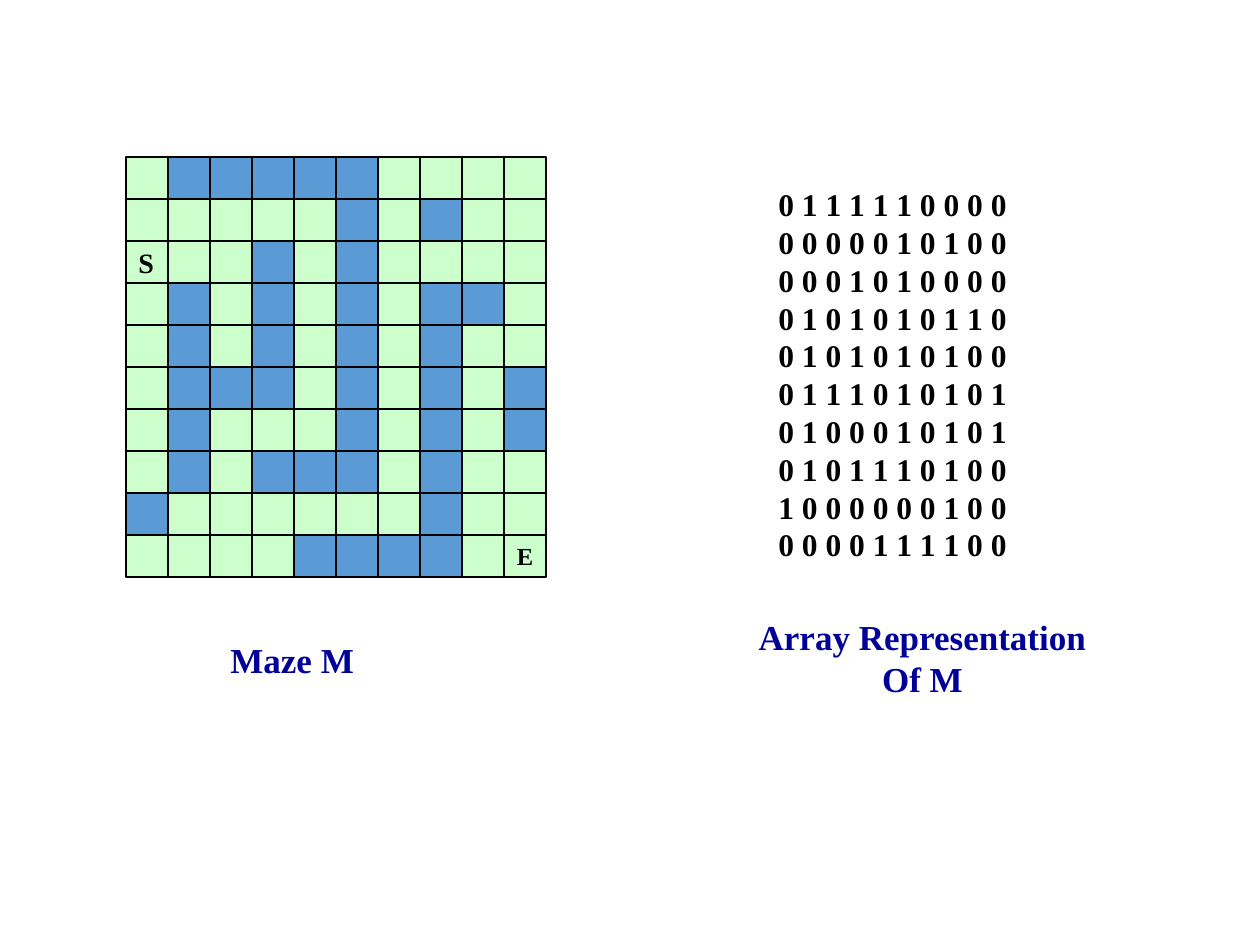
from pptx import Presentation
from pptx import util as u
from pptx.dml.color import RGBColor
from pptx.enum import shapes, text

PX = u.Inches(1) // 126
FONT = "Times New Roman"
BLACK = RGBColor(0x00, 0x00, 0x00)
NAVY = RGBColor(0x00, 0x00, 0x99)
GREEN = RGBColor(0xCC, 0xFF, 0xCC)
BLUE = RGBColor(0x5B, 0x9B, 0xD5)
LEFT, CENTER = text.PP_ALIGN.LEFT, text.PP_ALIGN.CENTER

MAZE = [
    "0111110000",
    "0000010100",
    "0001010000",
    "0101010110",
    "0101010100",
    "0111010101",
    "0100010101",
    "0101110100",
    "1000000100",
    "0000111100",
]
CELL, MAZE_X, MAZE_Y = 42, 126, 157


def write(tf, lines, size, color, align, wrap=False):
    tf.word_wrap = wrap
    for i, line in enumerate(lines):
        p = tf.paragraphs[0] if i == 0 else tf.add_paragraph()
        p.alignment = align
        r = p.add_run()
        r.text = line
        r.font.color.rgb = color
        font = {"name": FONT, "size": u.Pt(size), "bold": True}
        for key, value in font.items():
            setattr(r.font, key, value)


prs = Presentation()
prs.slide_width, prs.slide_height = 1260 * PX, 945 * PX
s = prs.slides.add_slide(prs.slide_layouts[6])

# Maze grid: walls are 1, open cells are 0
for row, cells in enumerate(MAZE):
    for col, value in enumerate(cells):
        x, y = MAZE_X + col * CELL, MAZE_Y + row * CELL
        sp = s.shapes.add_shape(shapes.MSO_SHAPE.RECTANGLE,
                                x * PX, y * PX, CELL * PX, CELL * PX)
        sp.shadow.inherit = False
        sp.fill.solid()
        sp.fill.fore_color.rgb = BLUE if value == "1" else GREEN
        sp.line.color.rgb = BLACK
        sp.line.width = u.Pt(0.75)
        if (row, col) == (2, 0):  # start cell
            sp.text_frame.vertical_anchor = text.MSO_ANCHOR.MIDDLE
            write(sp.text_frame, ["S"], 16, BLACK, LEFT)

# End mark, captions and array of digits
digits = [" ".join(cells) for cells in MAZE]
end_x, end_y = MAZE_X + 9 * CELL, MAZE_Y + 9 * CELL
labels = [
    ((end_x, end_y, CELL, 43), ["E"], 14, BLACK, CENTER, False),
    ((218, 632, 149, 55), ["Maze M"], 20, NAVY, LEFT, False),
    ((766, 179, 273, 391), digits, 18, BLACK, LEFT, True),
    ((746, 609, 353, 97), ["Array Representation", "Of M"], 20, NAVY, CENTER, False),
]
for box, *content in labels:
    sp = s.shapes.add_textbox(*(v * PX for v in box))
    write(sp.text_frame, *content)

prs.save("out.pptx")
